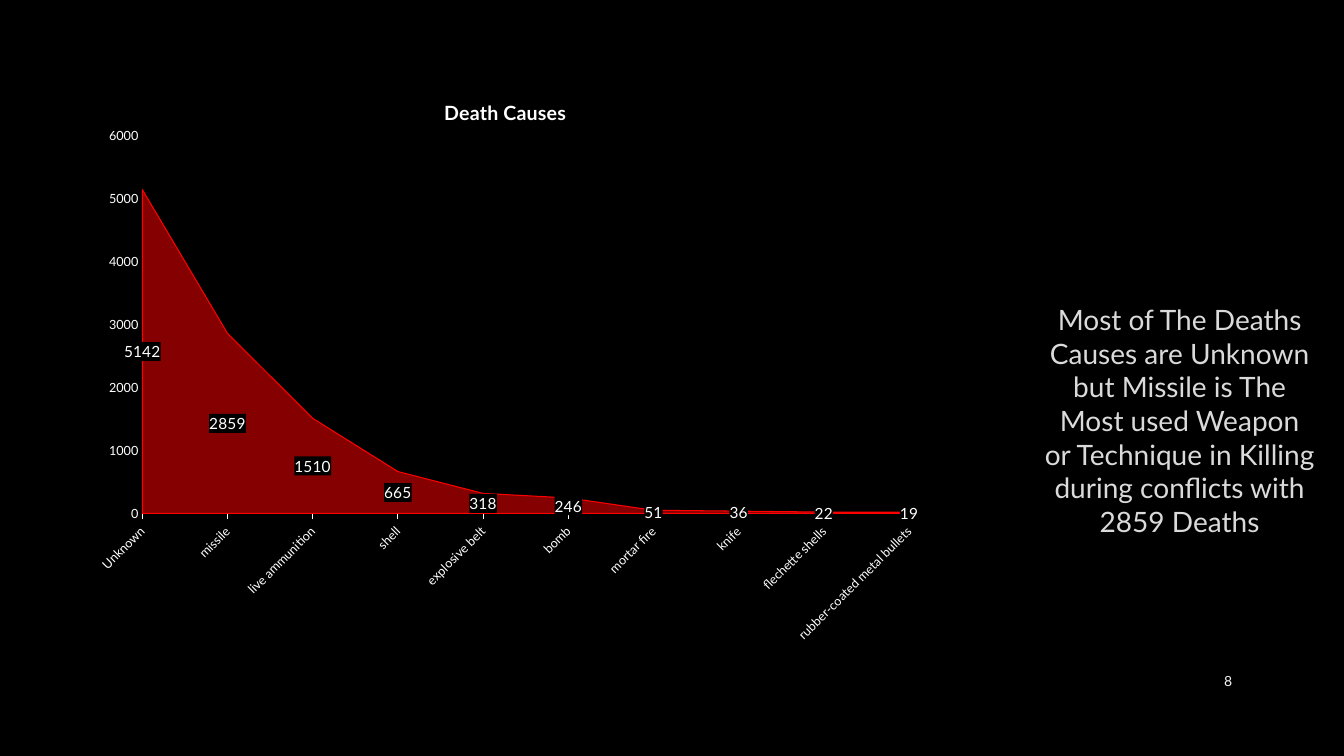
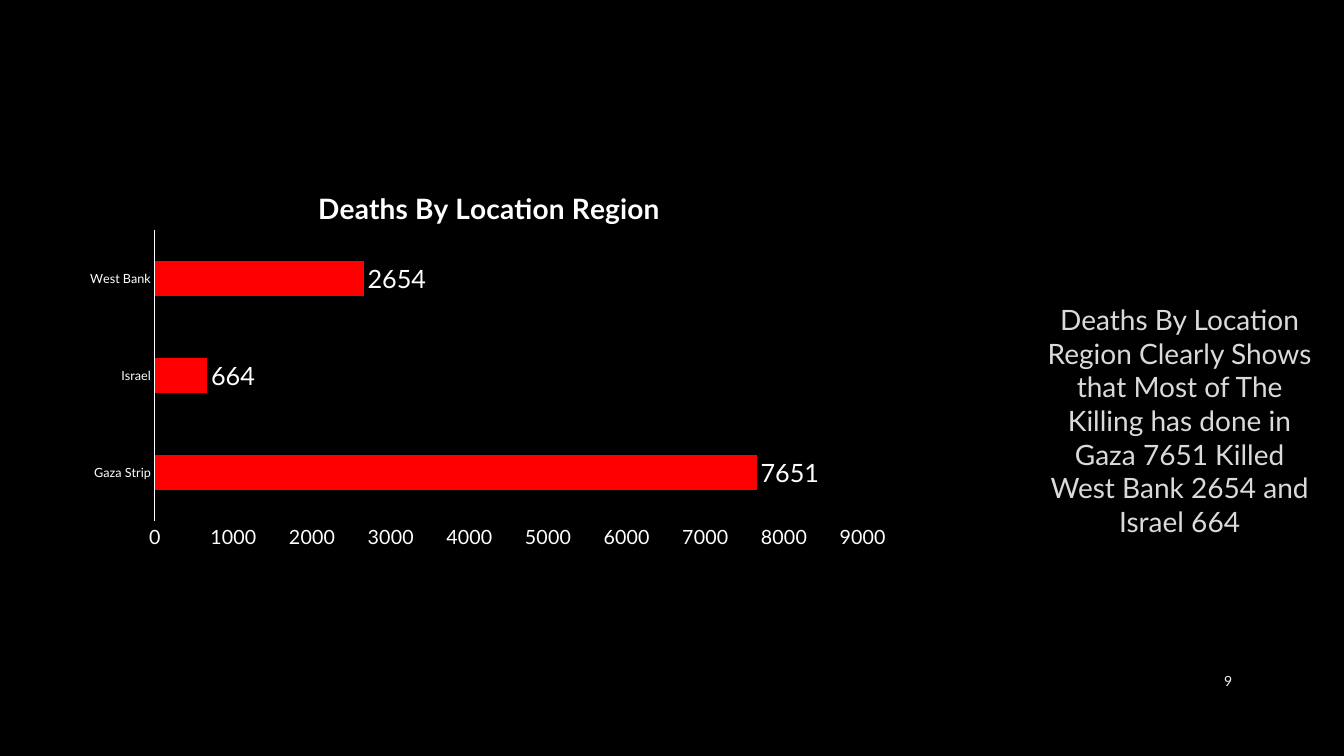
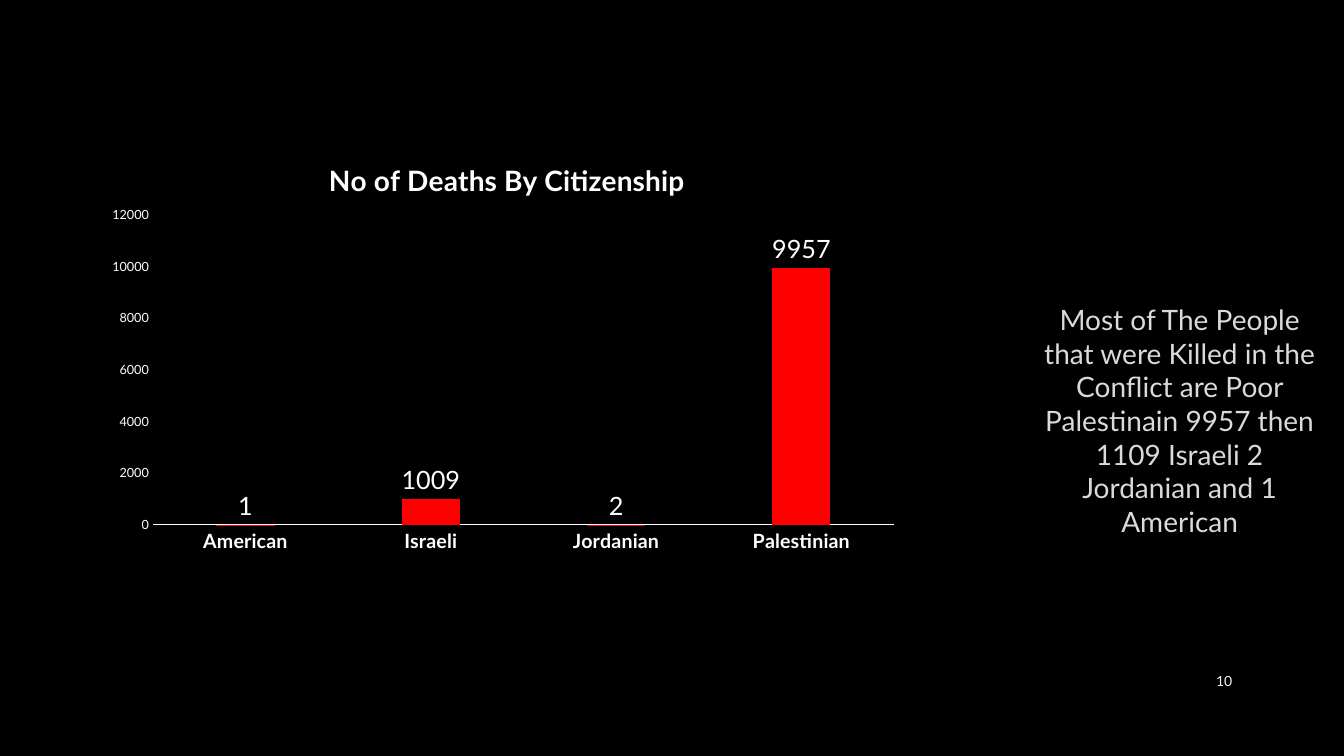
"""Build three black slides, each with a red chart and a takeaway title."""
from dataclasses import dataclass
from typing import Any, Optional

from lxml.etree import SubElement
from pptx import Presentation
from pptx.chart.data import CategoryChartData
from pptx.dml.color import RGBColor
from pptx.enum.chart import XL_CHART_TYPE as ChartType
from pptx.enum.chart import XL_LABEL_POSITION as LabelPosition
from pptx.enum.chart import XL_TICK_MARK as TickMark
from pptx.enum.text import MSO_ANCHOR as Anchor
from pptx.enum.text import MSO_AUTO_SIZE as AutoSize
from pptx.enum.text import PP_ALIGN as Align
from pptx.oxml import parse_xml
from pptx.oxml.ns import nsdecls, qn
from pptx.util import Emu, Pt

PX = 9144
FONT = "Lato"
COLORS = {
    "black": "000000",
    "white": "FFFFFF",
    "red": "FF0000",
    "title": "DADADA",
    "outline": "404040",
    "number": "F2F2F2",
}


@dataclass(frozen=True)
class Frame:
    """A rectangle in px, 100 to the inch."""
    left: int
    top: int
    width: int
    height: int

    def emu(self) -> tuple[Emu, ...]:
        """Return the rectangle's four lengths in EMU."""
        return tuple(Emu(n * PX) for n in (self.left, self.top, self.width, self.height))


@dataclass(frozen=True)
class ChartSlide:
    """The content of one slide and the look of its chart."""
    takeaway: str
    number: int
    kind: ChartType
    frame: Frame
    heading: str
    values: dict[str, int]
    heading_at: dict[str, float]
    plot_at: dict[str, float]
    heading_size: int = 20
    category_size: int = 9
    value_size: int = 9
    label_size: int = 18
    category_bold: bool = False
    gap: Optional[int] = None
    overlap: int = 0


TITLE_FRAME = Frame(1025, 162, 290, 510)
NUMBER_FRAME = Frame(1150, 656, 82, 40)

SLIDES = [
    ChartSlide(
        takeaway="Most of The Deaths Causes are Unknown but Missile is The Most used "
                 "Weapon or Technique in Killing during conflicts with 2859 Deaths",
        number=8,
        kind=ChartType.AREA,
        frame=Frame(82, 70, 845, 586),
        heading="Death Causes",
        values={
            "Unknown": 5142, "missile": 2859, "live ammunition": 1510, "shell": 665,
            "explosive belt": 318, "bomb": 246, "mortar fire": 51, "knife": 36,
            "flechette shells": 22, "rubber-coated metal bullets": 19,
        },
        heading_at={"x": 0.42, "y": 0.04},
        plot_at={"x": 0.07, "y": 0.11, "w": 0.9, "h": 0.64},
        heading_size=14,
        label_size=11,
    ),
    ChartSlide(
        takeaway="Deaths By Location Region Clearly Shows that Most of The Killing has "
                 "done in Gaza 7651 Killed West Bank 2654 and Israel 664",
        number=9,
        kind=ChartType.BAR_CLUSTERED,
        frame=Frame(71, 162, 826, 390),
        heading="Deaths By Location Region",
        values={"Gaza Strip": 7651, "Israel": 664, "West Bank": 2654},
        heading_at={"x": 0.29, "y": 0.05},
        plot_at={"x": 0.1, "y": 0.17, "w": 0.85, "h": 0.74},
        value_size=14,
        gap=182,
    ),
    ChartSlide(
        takeaway="Most of The People that were Killed in the Conflict are Poor "
                 "Palestinain 9957 then 1109 Israeli 2 Jordanian and 1 American",
        number=10,
        kind=ChartType.COLUMN_CLUSTERED,
        frame=Frame(95, 132, 808, 427),
        heading="No of Deaths By Citizenship",
        values={"American": 1, "Israeli": 1009, "Jordanian": 2, "Palestinian": 9957},
        heading_at={"x": 0.28, "y": 0.05},
        plot_at={"x": 0.07, "y": 0.19, "w": 0.91, "h": 0.72},
        category_size=14,
        category_bold=True,
        gap=219,
        overlap=-27,
    ),
]


def rgb(name: str) -> RGBColor:
    """Return a named colour."""
    return RGBColor.from_string(COLORS[name])


def assign(target: Any, values: dict[str, Any]) -> None:
    """Set each attribute given in a dict."""
    for name, value in values.items():
        setattr(target, name, value)


def set_font(font: Any, size: int, color: str = "white", bold: bool = False) -> None:
    """Give a font the deck's face and the chosen look."""
    assign(font, {"name": FONT, "size": Pt(size), "bold": bold})
    font.color.rgb = rgb(color)


def set_line(line: Any, color: str) -> None:
    """Draw a thin solid line."""
    line.color.rgb = rgb(color)
    line.width = Pt(0.75)


def write(shape: Any, text: str, size: int, color: str, align: Align) -> Any:
    """Write one vertically centred paragraph and return its run."""
    frame = shape.text_frame
    assign(frame, {"word_wrap": True, "auto_size": AutoSize.NONE,
                   "vertical_anchor": Anchor.MIDDLE})
    para = frame.paragraphs[0]
    para.alignment = align
    span = para.add_run()
    span.text = text
    set_font(span.font, size, color)
    return span


def place(element: Any, index: int, position: dict[str, float], inner: bool = False) -> None:
    """Give a chart part a manual layout in fractions of the chart."""
    for old in element.findall(qn("c:layout")):
        element.remove(old)
    layout = parse_xml(f"<c:layout {nsdecls('c')}><c:manualLayout/></c:layout>")
    manual = layout[0]
    if inner:
        SubElement(manual, qn("c:layoutTarget")).set("val", "inner")
    for key in ("x", "y"):
        SubElement(manual, qn(f"c:{key}Mode")).set("val", "edge")
    for key, value in position.items():
        SubElement(manual, qn(f"c:{key}")).set("val", str(value))
    element.insert(index, layout)


def add_title(page: Any, text: str) -> None:
    """Move the title to the right and give it a faint outline."""
    title = page.shapes.title
    assign(title, dict(zip(("left", "top", "width", "height"), TITLE_FRAME.emu())))
    span = write(title, text, 20, "title", Align.CENTER)
    outline = parse_xml(
        f'<a:ln {nsdecls("a")} w="9525"><a:solidFill><a:srgbClr val="{COLORS["outline"]}">'
        '<a:alpha val="10000"/></a:srgbClr></a:solidFill></a:ln>')
    span.font._element.insert(0, outline)


def style_area(chart: Any) -> None:
    """Make the area translucent, back its labels and slant the categories."""
    series = chart.plots[0].series[0]
    set_line(series.format.line, "red")
    fill_color = series.format.fill._xPr.find(qn("a:solidFill"))[0]
    SubElement(fill_color, qn("a:alpha")).set("val", "52000")
    label_text = chart.plots[0].data_labels._element.find(qn("c:txPr"))
    label_text.addprevious(parse_xml(
        f'<c:spPr {nsdecls("c", "a")}><a:solidFill>'
        f'<a:srgbClr val="{COLORS["black"]}"/></a:solidFill></c:spPr>'))
    chart.category_axis.major_tick_mark = TickMark.OUTSIDE
    category_text = chart.category_axis._element.find(qn("c:txPr"))
    category_text.find(qn("a:bodyPr")).set("rot", "-2700000")


def add_chart(page: Any, item: ChartSlide) -> None:
    """Draw a slide's chart."""
    data = CategoryChartData()
    data.categories = list(item.values)
    data.add_series("Series 1", list(item.values.values()))
    chart = page.shapes.add_chart(item.kind, *item.frame.emu(), data).chart
    set_font(chart.font, 10)
    assign(chart, {"has_legend": False, "has_title": True})

    heading = chart.chart_title.text_frame.paragraphs[0].add_run()
    heading.text = item.heading
    set_font(heading.font, item.heading_size, bold=True)
    place(chart.chart_title._element, 1, item.heading_at)
    place(chart._chartSpace.chart.plotArea, 0, item.plot_at, inner=True)

    axes = ((chart.category_axis, item.category_size, item.category_bold),
            (chart.value_axis, item.value_size, False))
    for axis, size, bold in axes:
        assign(axis, {"has_major_gridlines": False, "major_tick_mark": TickMark.NONE,
                      "minor_tick_mark": TickMark.NONE})
        set_font(axis.tick_labels.font, size, bold=bold)
    set_line(chart.category_axis.format.line, "white")
    chart.value_axis.format.line.fill.background()

    plot = chart.plots[0]
    assign(plot, {"vary_by_categories": False, "has_data_labels": True})
    plot.data_labels.show_value = True
    set_font(plot.data_labels.font, item.label_size)
    fill = plot.series[0].format.fill
    fill.solid()
    fill.fore_color.rgb = rgb("red")
    if item.gap is None:
        style_area(chart)
    else:
        assign(plot, {"gap_width": item.gap, "overlap": item.overlap})
        plot.data_labels.position = LabelPosition.OUTSIDE_END


def add_slide(deck: Any, item: ChartSlide) -> None:
    """Add a slide with its title, number and chart."""
    page = deck.slides.add_slide(deck.slide_layouts.get_by_name("Title Only"))
    add_title(page, item.takeaway)
    number = page.shapes.add_textbox(*NUMBER_FRAME.emu())
    write(number, str(item.number), 10, "number", Align.RIGHT)
    add_chart(page, item)


def main() -> None:
    """Build and save the deck."""
    deck = Presentation()
    assign(deck, {"slide_width": Emu(1333 * PX), "slide_height": Emu(750 * PX)})
    background = deck.slide_master.background.fill
    background.solid()
    background.fore_color.rgb = rgb("black")
    for item in SLIDES:
        add_slide(deck, item)
    deck.save("out.pptx")


if __name__ == "__main__":
    main()
